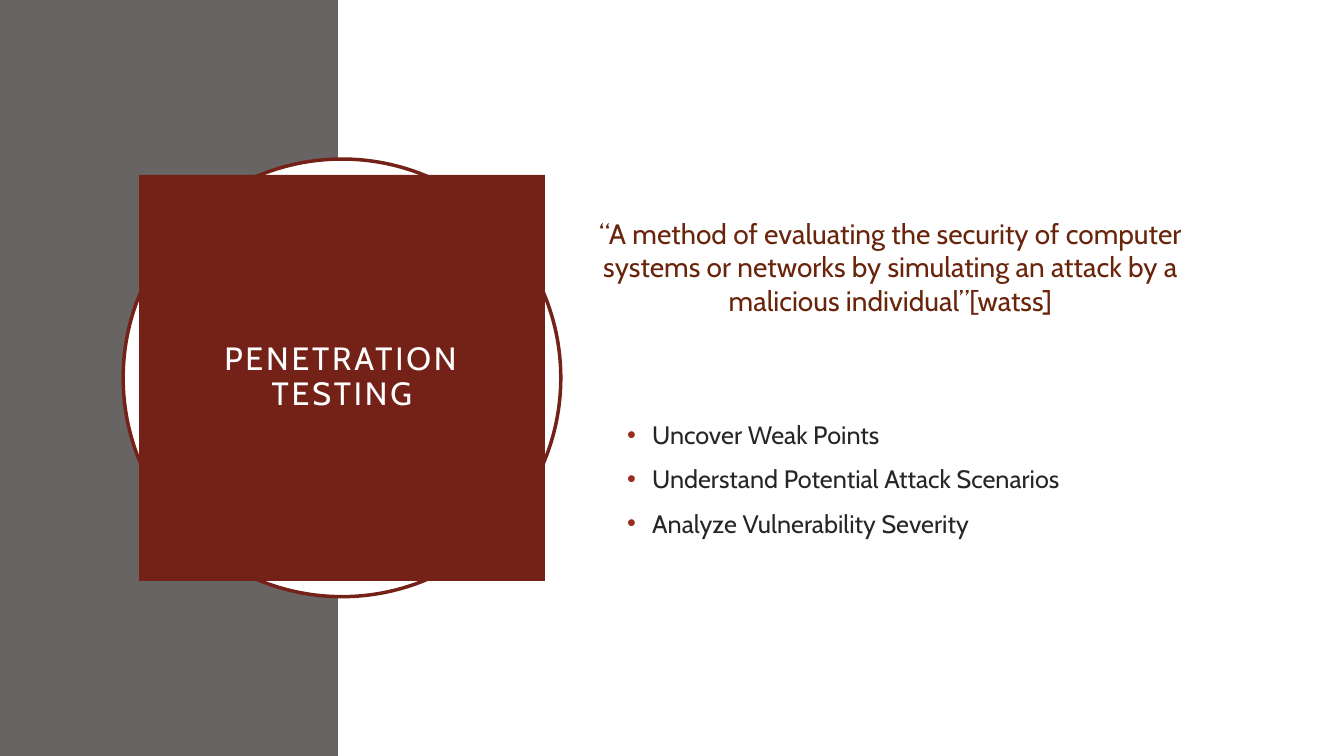
from lxml import etree
from pptx import Presentation
from pptx.dml.color import RGBColor
from pptx.enum.shapes import MSO_SHAPE
from pptx.enum.text import MSO_ANCHOR, PP_ALIGN
from pptx.oxml.ns import qn
from pptx.util import Pt

RECTANGLE = MSO_SHAPE.RECTANGLE
OVAL = MSO_SHAPE.OVAL
MIDDLE = MSO_ANCHOR.MIDDLE
CENTER = PP_ALIGN.CENTER
LEFT = PP_ALIGN.LEFT

FONT = "Cabin"
GREY, WHITE, MAROON = "696464", "FFFFFF", "742217"
BROWN, RED, DARK = "69240C", "9B2D1F", "262626"
SLIDE_WIDTH, SLIDE_HEIGHT = 960, 540


def paint(color_format, color):
    color_format.rgb = RGBColor.from_string(color)


def fill(target, color):
    target.fill.solid()
    paint(target.fill.fore_color, color)


def place(target, box):
    target.left, target.top, target.width, target.height = map(Pt, box)


def add_panel(slide, kind, box, color, outline=None):
    panel = slide.shapes.add_shape(kind, *map(Pt, box))
    panel.shadow.inherit = False
    fill(panel, color)
    if outline:
        paint(panel.line.color, outline)
        panel.line.width = Pt(2.5)
    else:
        panel.line.fill.background()


def add_bullet(paragraph, color, indent):
    properties = paragraph._p.get_or_add_pPr()
    properties.set("marL", str(Pt(indent)))
    properties.set("indent", str(-Pt(indent)))
    bullet_color = etree.SubElement(properties, qn("a:buClr"))
    etree.SubElement(bullet_color, qn("a:srgbClr"), val=color)
    etree.SubElement(properties, qn("a:buFont"), typeface="Arial")
    etree.SubElement(properties, qn("a:buChar"), char="•")


def write(frame, *lines, size, color, align=LEFT, spacing=None,
          gap=0, tracking=None, bullet=None):
    frame.word_wrap = True
    frame.vertical_anchor = MIDDLE
    for index, line in enumerate(lines):
        paragraph = frame.add_paragraph() if index else frame.paragraphs[0]
        paragraph.alignment = align
        if spacing:
            paragraph.line_spacing = spacing
        paragraph.space_before = Pt(gap if index else 0)
        if bullet:
            add_bullet(paragraph, bullet, 18)
        run = paragraph.add_run()
        run.text = line
        run.font.name = FONT
        run.font.size = Pt(size)
        paint(run.font.color, color)
        if tracking:
            run.font._element.set("spc", str(tracking * 100))


def add_backdrop(slide, box, sidebar_width):
    left, top, width, height = box
    add_panel(slide, RECTANGLE, (left, top, sidebar_width, height), GREY)
    add_panel(slide, RECTANGLE,
              (left + sidebar_width, top, width - sidebar_width, height), WHITE)


def add_heading(slide, box):
    left, top, width, height = box
    margin = 11.3
    add_panel(slide, OVAL, box, WHITE, outline=MAROON)
    title = slide.shapes.title
    slide.shapes._spTree.append(title._element)
    place(title, (left + margin, top + margin,
                  width - 2 * margin, height - 2 * margin))
    fill(title, MAROON)
    frame = title.text_frame
    frame.margin_left = frame.margin_right = Pt(14.4)
    frame.margin_top = frame.margin_bottom = Pt(14.4)
    write(frame, "PENETRATION TESTING", size=23, color=WHITE,
          align=CENTER, spacing=0.9, tracking=2)


def add_definition(slide, box):
    left, top, width, height = box
    quote = slide.shapes.add_textbox(*map(Pt, (left, top, width, 153.4)))
    write(quote.text_frame,
          "“A method of evaluating the security of computer systems or "
          "networks by simulating an attack by a malicious individual”[watss]",
          size=20, color=BROWN, align=CENTER)
    goals = slide.shapes.add_textbox(
        *map(Pt, (left + 29, top + 126, width - 29, height - 126)))
    write(goals.text_frame, "Uncover Weak Points",
          "Understand Potential Attack Scenarios",
          "Analyze Vulnerability Severity",
          size=18, color=DARK, gap=10, bullet=RED)


def main():
    deck = Presentation()
    deck.slide_width, deck.slide_height = Pt(SLIDE_WIDTH), Pt(SLIDE_HEIGHT)
    slide = deck.slides.add_slide(deck.slide_layouts[5])
    add_backdrop(slide, (0, 0, SLIDE_WIDTH, SLIDE_HEIGHT), 241.6)
    add_heading(slide, (88, 113.6, 312.6, 312.6))
    add_definition(slide, (411.8, 113.8, 448.6, 330.6))
    deck.save("out.pptx")


if __name__ == "__main__":
    main()
